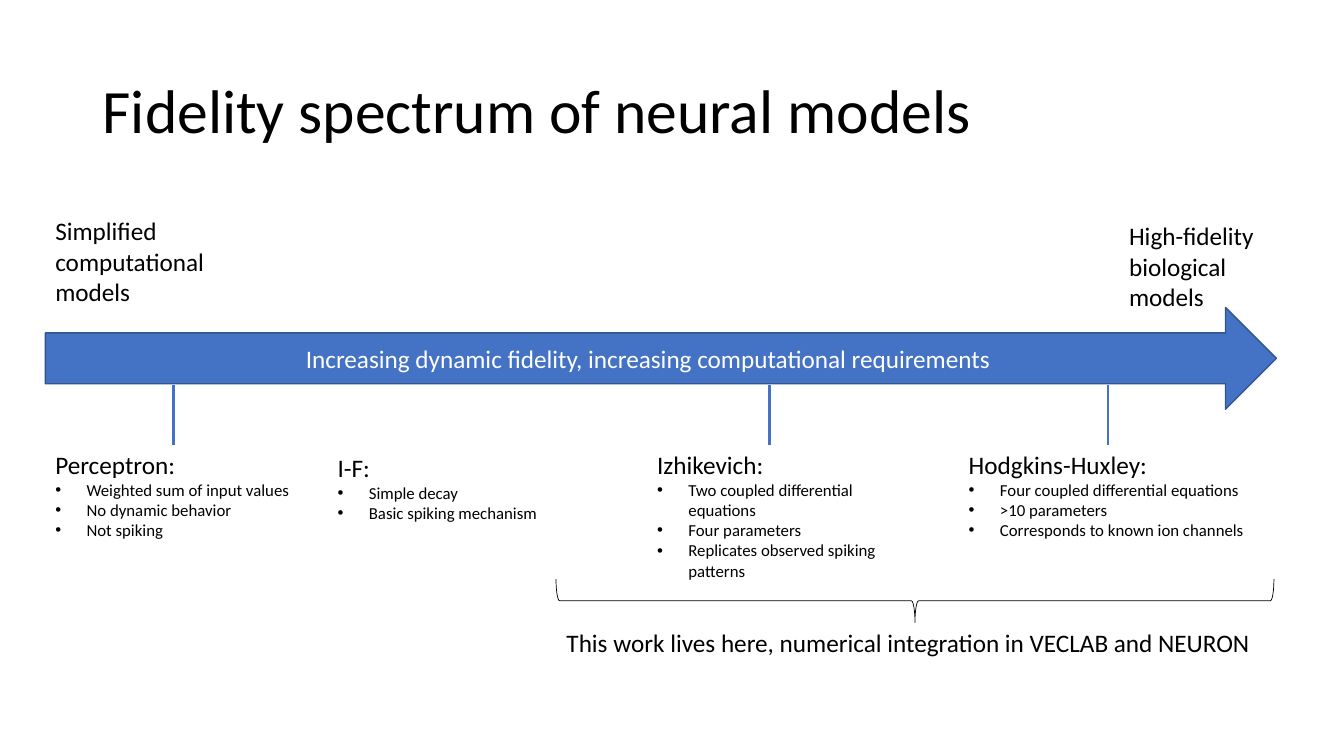
from dataclasses import dataclass

from lxml import etree
from pptx import Presentation
from pptx.dml.color import RGBColor
from pptx.enum.shapes import MSO_CONNECTOR, MSO_SHAPE
from pptx.enum.text import MSO_ANCHOR, MSO_AUTO_SIZE, PP_ALIGN
from pptx.oxml.ns import qn
from pptx.util import Inches, Pt

STRAIGHT = MSO_CONNECTOR.STRAIGHT
RIGHT_ARROW, LEFT_BRACE = MSO_SHAPE.RIGHT_ARROW, MSO_SHAPE.LEFT_BRACE
MIDDLE, CENTER = MSO_ANCHOR.MIDDLE, PP_ALIGN.CENTER
FIT_TEXT, FIXED_SIZE = MSO_AUTO_SIZE.SHAPE_TO_FIT_TEXT, MSO_AUTO_SIZE.NONE
TOP_SIDE = 0


@dataclass(frozen=True)
class Theme:
    font: str = "Calibri"
    ink: RGBColor = RGBColor(0x00, 0x00, 0x00)
    paper: RGBColor = RGBColor(0xFF, 0xFF, 0xFF)
    accent: RGBColor = RGBColor(0x44, 0x72, 0xC4)
    accent_dark: RGBColor = RGBColor(0x32, 0x54, 0x91)
    title_size: int = 44
    body_size: int = 18
    detail_size: int = 12
    bullet_indent: float = 0.31


class SlideBuilder:
    def __init__(self, slide, theme):
        self.shapes = slide.shapes
        self.theme = theme

    def style(self, paragraph, size, color=None):
        font = paragraph.font
        font.name = self.theme.font
        font.size = Pt(size)
        font.color.rgb = color or self.theme.ink

    def text(self, box, words, size=None, wrap=True):
        label = self.shapes.add_textbox(*map(Inches, box))
        frame = label.text_frame
        frame.word_wrap = wrap
        frame.auto_size = FIT_TEXT
        frame.text = words
        self.style(frame.paragraphs[0], size or self.theme.body_size)
        return label

    def title(self, box, words):
        frame = self.text(box, words, self.theme.title_size).text_frame
        frame.auto_size = FIXED_SIZE
        frame.vertical_anchor = MIDDLE
        frame.paragraphs[0].line_spacing = 0.9

    def model(self, box, name, traits, wrap):
        label = self.text(box, name, wrap=wrap)
        indent = Inches(self.theme.bullet_indent)
        for trait in traits:
            paragraph = label.text_frame.add_paragraph()
            paragraph.text = trait
            properties = paragraph._p.get_or_add_pPr()
            properties.set("marL", str(indent))
            properties.set("indent", str(-indent))
            etree.SubElement(properties, qn("a:buFont")).set("typeface", "Arial")
            etree.SubElement(properties, qn("a:buChar")).set("char", "•")
            self.style(paragraph, self.theme.detail_size)
        return label

    def arrow(self, box, words):
        arrow = self.shapes.add_shape(RIGHT_ARROW, *map(Inches, box))
        arrow.shadow.inherit = False
        arrow.fill.solid()
        arrow.fill.fore_color.rgb = self.theme.accent
        arrow.line.color.rgb = self.theme.accent_dark
        arrow.line.width = Pt(1)
        frame = arrow.text_frame
        frame.vertical_anchor = MIDDLE
        frame.text = words
        frame.paragraphs[0].alignment = CENTER
        self.style(frame.paragraphs[0], self.theme.body_size, self.theme.paper)

    def brace(self, box):
        brace = self.shapes.add_shape(LEFT_BRACE, *map(Inches, box))
        brace.rotation = 270
        brace.shadow.inherit = False
        brace.fill.background()
        brace.line.color.rgb = self.theme.ink
        brace.line.width = Pt(0.5)

    def tick(self, start_y, label):
        x = label.left + label.width // 2
        tick = self.shapes.add_connector(STRAIGHT, x, Inches(start_y), x, label.top)
        tick.end_connect(label, TOP_SIDE)
        tick.line.color.rgb = self.theme.accent
        tick.line.width = Pt(2)
        etree.SubElement(tick._element.spPr, qn("a:effectLst"))


# box, name, traits, wraps, has a tick up to the arrow
MODELS = [
    ((0.45, 4.41, 2.55, 1.01), "Perceptron:",
     ["Weighted sum of input values", "No dynamic behavior", "Not spiking"], False, True),
    ((3.25, 4.44, 2.21, 0.81), "I-F:",
     ["Simple decay", "Basic spiking mechanism"], False, False),
    ((6.42, 4.41, 2.43, 1.41), "Izhikevich:",
     ["Two coupled differential equations", "Four parameters",
      "Replicates observed spiking patterns"], True, True),
    ((9.51, 4.41, 2.96, 1.01), "Hodgkins-Huxley:",
     ["Four coupled differential equations", ">10 parameters",
      "Corresponds to known ion channels"], False, True),
]


def main():
    deck = Presentation()
    deck.slide_width, deck.slide_height = Inches(13.33), Inches(7.5)
    builder = SlideBuilder(deck.slides.add_slide(deck.slide_layouts[6]), Theme())

    # Title
    builder.title((0.92, 0.4, 11.5, 1.45), "Fidelity spectrum of neural models")

    # Spectrum arrow and its two ends
    builder.arrow((0.45, 3.05, 12.21, 1.01),
                  "Increasing dynamic fidelity, increasing computational requirements")
    builder.text((0.45, 2.09, 1.78, 1.01), "Simplified computational models")
    builder.text((11.1, 2.14, 1.56, 1.01), "High-fidelity biological models")

    # Models along the spectrum
    for box, name, traits, wrap, ticked in MODELS:
        label = builder.model(box, name, traits, wrap)
        if ticked:
            builder.tick(3.82, label)

    # Range covered by this work
    builder.brace((8.86, 2.4, 0.43, 7.12))
    builder.text((5.52, 6.17, 7.12, 0.4),
                 "This work lives here, numerical integration in VECLAB and NEURON")

    deck.save("out.pptx")


if __name__ == "__main__":
    main()
